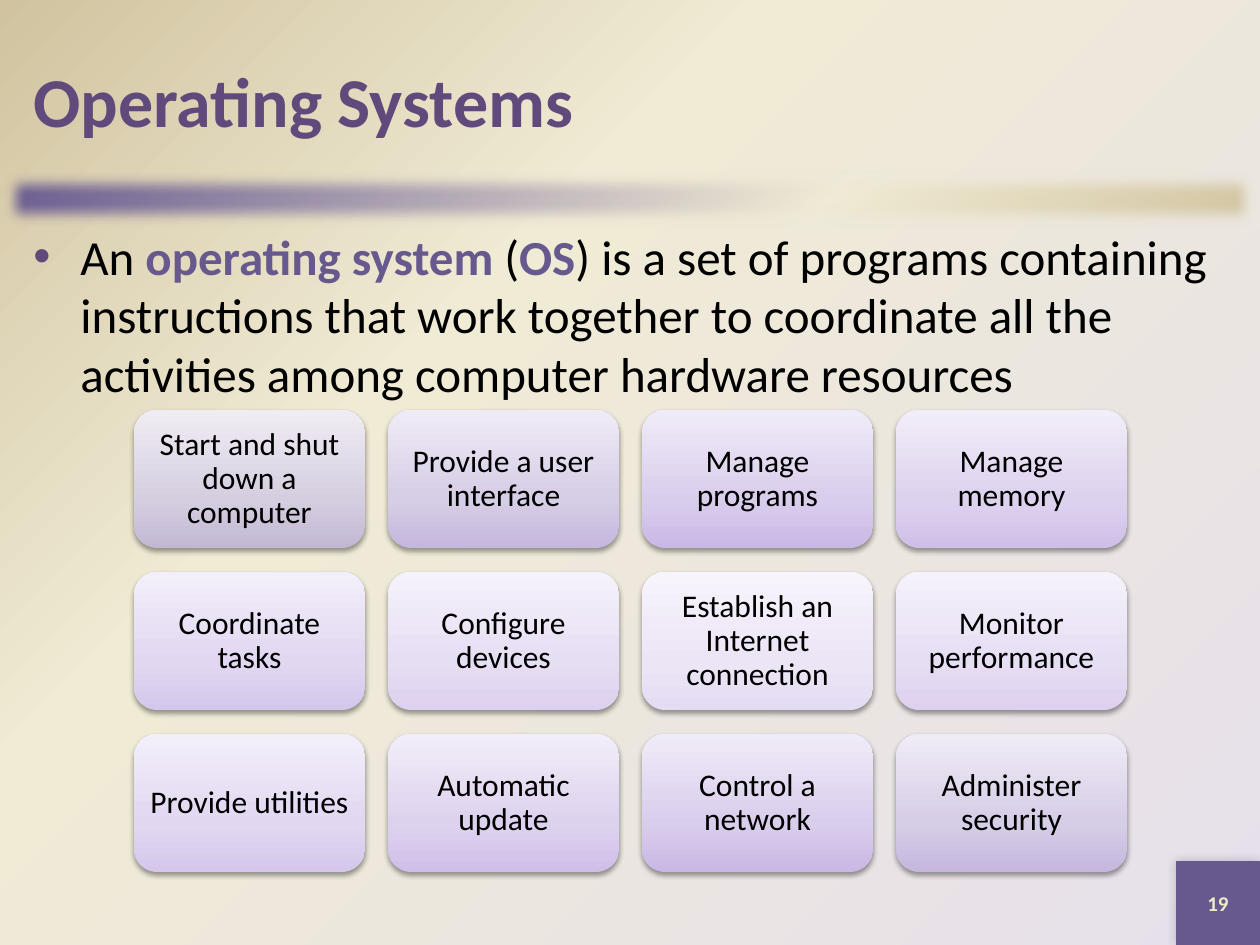
import lxml.etree
import pptx
import pptx.dml.color
import pptx.enum.shapes
import pptx.enum.text
import pptx.oxml.ns
import pptx.util

EMU_PER_PX = 914400 / 126
SHAPES = pptx.enum.shapes.MSO_SHAPE
ALIGN = pptx.enum.text.PP_ALIGN
ANCHOR = pptx.enum.text.MSO_ANCHOR
COLORS = {
    "accent": "67588E",
    "heading": "604A7B",
    "cream": "F0EBD5",
    "tan": "D1C39F",
    "lavender": "E6E0EC",
    "number": "EEEBCA",
    "black": "000000",
}
CARD_SHADES = [
    ("C3B8D4", "D5CEE0", "EFECF3"),
    ("C5B7DD", "D6CDE6", "EFEBF6"),
    ("C9B8E5", "D9CDEC", "F0EBF8"),
    ("CFBFE8", "DDD2EE", "F2EDF9"),
    ("D5C7EC", "E1D7F1", "F3EFFA"),
    ("DDD1EF", "E6DEF3", "F5F2FB"),
    ("E4DCF2", "ECE5F6", "F7F4FC"),
]
CARDS = [
    "Start and shut down a computer", "Provide a user interface", "Manage programs", "Manage memory",
    "Coordinate tasks", "Configure devices", "Establish an Internet connection", "Monitor performance",
    "Provide utilities", "Automatic update", "Control a network", "Administer security",
]
COLUMNS = 4


def px(length):
    return pptx.util.Emu(round(length * EMU_PER_PX))


def rgb(color):
    return pptx.dml.color.RGBColor.from_string(color)


def add_child(parent, tag, **attributes):
    child = lxml.etree.SubElement(parent, pptx.oxml.ns.qn(tag))
    for name, value in attributes.items():
        child.set(name, str(value))
    return child


def set_gradient(fill, owner, colors, positions, angle=None):
    fill.gradient()
    gradient = owner.find(".//" + pptx.oxml.ns.qn("a:gradFill"))
    for child in list(gradient):
        gradient.remove(child)
    stops = add_child(gradient, "a:gsLst")
    for color, position in zip(colors, positions):
        stop = add_child(stops, "a:gs", pos=position * 1000)
        add_child(stop, "a:srgbClr", val=color)
    if angle is None:
        circle = add_child(gradient, "a:path", path="circle")
        add_child(circle, "a:fillToRect", l=100000, t=100000)
    else:
        add_child(gradient, "a:lin", ang=angle * 60000, scaled=0)


def add_run(paragraph, text, size, color, bold=False, font="Calibri"):
    run = paragraph.add_run()
    run.text = text
    run.font.name = font
    run.font.size = pptx.util.Pt(size)
    run.font.bold = bold
    run.font.color.rgb = rgb(color)


class SlideBuilder:
    def __init__(self, presentation, colors):
        self.colors = colors
        self.slide = presentation.slides.add_slide(presentation.slide_layouts[6])

    def background(self, names, positions):
        fill = self.slide.background.fill
        set_gradient(fill, self.slide.element, [self.colors[name] for name in names], positions)

    def block(self, left, top, width, height, preset=SHAPES.RECTANGLE):
        shape = self.slide.shapes.add_shape(preset, px(left), px(top), px(width), px(height))
        shape.shadow.inherit = False
        shape.line.fill.background()
        return shape

    def effect(self, shape, tag, **attributes):
        effects = shape.element.spPr.find(pptx.oxml.ns.qn("a:effectLst"))
        return add_child(effects, tag, **attributes)

    def shadow(self, shape, opacity, blur, distance, angle):
        shadow = self.effect(shape, "a:outerShdw", blurRad=pptx.util.Pt(blur),
                             dist=pptx.util.Pt(distance), dir=angle * 60000, rotWithShape=0)
        color = add_child(shadow, "a:srgbClr", val=self.colors["black"])
        add_child(color, "a:alpha", val=opacity * 1000)

    def centered_text(self, shape, text, size, color, bold=False):
        frame = shape.text_frame
        frame.word_wrap = True
        frame.vertical_anchor = ANCHOR.MIDDLE
        paragraph = frame.paragraphs[0]
        paragraph.alignment = ALIGN.CENTER
        add_run(paragraph, text, size, self.colors[color], bold)
        return frame

    def divider(self, left, top, width, height):
        shape = self.block(left, top, width, height)
        colors = [self.colors[name] for name in ("accent", "cream", "tan")]
        set_gradient(shape.fill, shape.element, colors, (0, 65, 100), 45)
        self.effect(shape, "a:softEdge", rad=112500)

    def page_number(self, left, top, size, text):
        shape = self.block(left, top, size, size)
        shape.fill.solid()
        shape.fill.fore_color.rgb = rgb(self.colors["accent"])
        self.shadow(shape, 20, 6, 0, 225)
        self.centered_text(shape, text, 12, "number", True)

    def card(self, left, top, width, height, text, shades):
        shape = self.block(left, top, width, height, SHAPES.ROUNDED_RECTANGLE)
        set_gradient(shape.fill, shape.element, shades, (0, 35, 100), 270)
        self.shadow(shape, 38, 3.1, 1.6, 90)
        frame = self.centered_text(shape, text, 18, "black")
        frame.margin_left = frame.margin_right = px(9)
        frame.margin_top = frame.margin_bottom = px(9)
        frame.paragraphs[0].line_spacing = 0.9

    def text(self, left, top, width, height, pieces, size, anchor=ANCHOR.TOP, bullet=None):
        box = self.slide.shapes.add_textbox(px(left), px(top), px(width), px(height))
        frame = box.text_frame
        frame.word_wrap = True
        frame.vertical_anchor = anchor
        paragraph = frame.paragraphs[0]
        if bullet:
            properties = paragraph._p.get_or_add_pPr()
            properties.set("marL", str(px(47)))
            properties.set("indent", str(px(-47)))
            bullet_color = add_child(properties, "a:buClr")
            add_child(bullet_color, "a:srgbClr", val=self.colors["heading"])
            add_child(properties, "a:buFont", typeface="Arial")
            add_child(properties, "a:buChar", char=bullet)
        for text, color, bold in pieces:
            add_run(paragraph, text, size, self.colors[color], bold)


def main():
    presentation = pptx.Presentation()
    presentation.slide_width = px(1260)
    presentation.slide_height = px(945)
    builder = SlideBuilder(presentation, COLORS)
    builder.background(("lavender", "cream", "tan"), (0, 65, 100))
    builder.divider(0, 168, 1260, 63)
    builder.page_number(1176, 861, 84, "19")
    builder.text(21, 21, 1218, 158, [("Operating Systems", "heading", True)], 40, ANCHOR.MIDDLE)
    definition = [
        ("An ", "black", False),
        ("operating system ", "accent", True),
        ("(", "black", False),
        ("OS", "accent", True),
        (") is a set of programs containing instructions that work together to coordinate "
         "all the activities among computer hardware resources", "black", False),
    ]
    builder.text(21, 220, 1218, 640, definition, 28, bullet="•")
    for index, label in enumerate(CARDS):
        row, column = divmod(index, COLUMNS)
        shades = CARD_SHADES[min(index, len(CARDS) - index)]
        builder.card(134 + column * 254, 410 + row * 162, 231, 138, label, shades)
    presentation.save("out.pptx")


if __name__ == "__main__":
    main()
